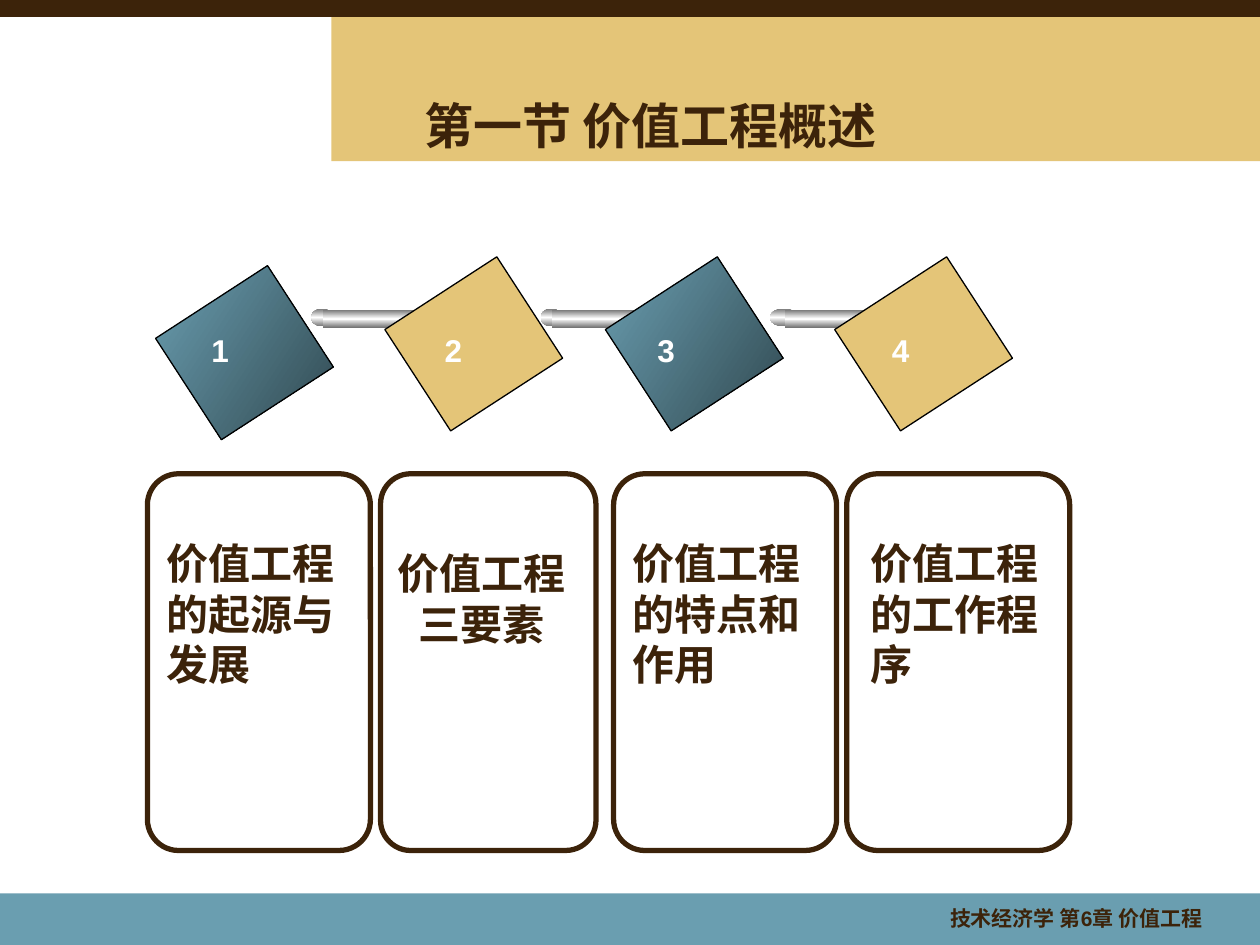
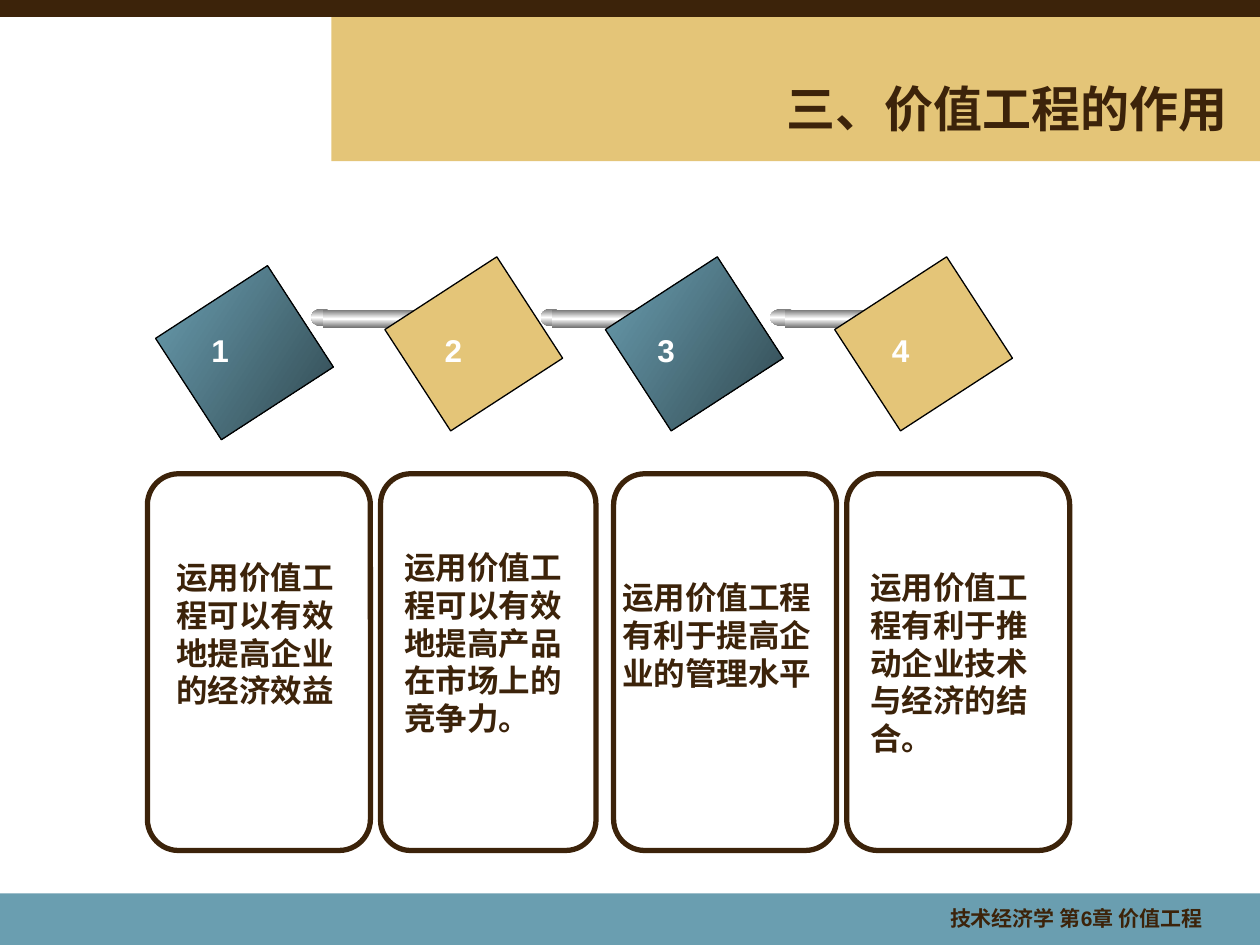
"""Build two value engineering slides, each with four numbered panels."""
import pptx
import pptx.dml.color
import pptx.enum.shapes
import pptx.enum.text
import pptx.oxml
import pptx.oxml.ns
import pptx.util

Inches = pptx.util.Inches
Pt = pptx.util.Pt
SHAPE = pptx.enum.shapes.MSO_SHAPE
ALIGN = pptx.enum.text.PP_ALIGN
ANCHOR = pptx.enum.text.MSO_ANCHOR
AUTO_SIZE = pptx.enum.text.MSO_AUTO_SIZE

FONT = "Arial"
BROWN, GOLD, TEAL, DARK_TEAL = "3C230A", "E4C578", "6A9EB0", "314951"
WHITE, BLACK, GREY = "FFFFFF", "000000", "767676"
FOOTER = "技术经济学 第6章 价值工程"

PANEL_TOP, PANEL_HEIGHT, PANEL_PITCH = 3.76, 2.99, 1.85
PANEL_WIDTHS = (1.77, 1.71, 1.77, 1.77)
DIAMONDS = ((1.46, 2.27), (3.28, 2.2), (5.03, 2.2), (6.85, 2.2))
RODS = ((2.47, 1), (4.29, 1), (6.11, 1.3))
NUMBER_LEFTS = (1.58, 3.43, 5.12, 6.98)


def rgb(color):
    return pptx.dml.color.RGBColor.from_string(color)


class Deck:
    def __init__(self):
        self.prs = pptx.Presentation()
        self.prs.slide_width, self.prs.slide_height = Inches(10), Inches(7.5)
        self.slide = None

    def add_slide(self, title, left, top, align):
        self.slide = self.prs.slides.add_slide(self.prs.slide_layouts[5])
        self.shape(SHAPE.RECTANGLE, 2.63, 0.13, 7.37, 1.15, GOLD)
        self.shape(SHAPE.RECTANGLE, 0, 7.09, 10, 0.41, TEAL)
        self.shape(SHAPE.RECTANGLE, 0, 0, 10, 0.13, BROWN, BROWN)
        self.text(FOOTER, 6.18, 7.14, 3.46, 0.33, 12, align=ALIGN.RIGHT)
        sp = self.slide.shapes.title
        sp.element.getparent().append(sp.element)
        sp.left, sp.top = Inches(left), Inches(top)
        sp.width, sp.height = Inches(6.92), Inches(0.62)
        sp.text_frame.vertical_anchor = ANCHOR.MIDDLE
        self.fill_text(sp.text_frame, title, 28, BROWN, align)

    def fill_text(self, tf, text, size, color, align):
        tf.text = text
        p = tf.paragraphs[0]
        p.alignment = align
        p.font.name, p.font.size, p.font.bold = FONT, Pt(size), True
        p.font.color.rgb = rgb(color)

    def text(self, text, left, top, width, height, size, color=BROWN,
             align=ALIGN.LEFT, wrap=True):
        sp = self.slide.shapes.add_textbox(
            Inches(left), Inches(top), Inches(width), Inches(height))
        tf = sp.text_frame
        tf.word_wrap = wrap
        tf.auto_size = AUTO_SIZE.SHAPE_TO_FIT_TEXT
        self.fill_text(tf, text, size, color, align)

    def shape(self, kind, left, top, width, height, fill=None, line=None, weight=0.75):
        sp = self.slide.shapes.add_shape(
            kind, Inches(left), Inches(top), Inches(width), Inches(height))
        sp.shadow.inherit = False
        if fill:
            sp.fill.solid()
            sp.fill.fore_color.rgb = rgb(fill)
        else:
            sp.fill.background()
        if line:
            sp.line.color.rgb = rgb(line)
            sp.line.width = Pt(weight)
        else:
            sp.line.fill.background()
        return sp

    def gradient(self, sp, colors, angle):
        sp.fill.gradient()
        step = 100000 // (len(colors) - 1)
        stops = "".join(
            f'<a:gs pos="{i * step}"><a:srgbClr val="{color}"/></a:gs>'
            for i, color in enumerate(colors))
        ns = pptx.oxml.ns
        old = sp.element.spPr.find(ns.qn("a:gradFill"))
        new = pptx.oxml.parse_xml(
            f'<a:gradFill {ns.nsdecls("a")} rotWithShape="0"><a:gsLst>{stops}</a:gsLst>'
            f'<a:lin ang="{angle * 60000}" scaled="0"/></a:gradFill>')
        old.getparent().replace(old, new)

    def panel(self, left, width):
        sp = self.shape(SHAPE.ROUNDED_RECTANGLE, left, PANEL_TOP, width, PANEL_HEIGHT,
                        line=BROWN, weight=3)
        sp.adjustments[0] = 0.14

    def diamond(self, left, top, shaded):
        sp = self.shape(SHAPE.RECTANGLE, left, top, 0.96, 1.06, GOLD, BLACK)
        sp.rotation = 57
        if shaded:
            self.gradient(sp, (TEAL, DARK_TEAL), 33)

    def rod(self, left, scale):
        cap = self.shape(SHAPE.OVAL, left, 2.45, 0.17 * scale, 0.14)
        bar = self.shape(SHAPE.RECTANGLE, left + 0.09 * scale, 2.46, 0.82 * scale, 0.14)
        for sp in (cap, bar):
            self.gradient(sp, (GREY, WHITE, GREY), 90)

    def numbered_panels(self, size, captions):
        for i, width in enumerate(PANEL_WIDTHS):
            self.panel(1.17 + i * PANEL_PITCH, width)
        for i, (left, top) in enumerate(DIAMONDS):
            if i:
                self.rod(*RODS[i - 1])
            self.diamond(left, top, shaded=i % 2 == 0)
        for number, left in enumerate(NUMBER_LEFTS, 1):
            self.text(str(number), left, 2.58, 0.34, 0.4, 18, WHITE, wrap=False)
        for text, left, top, width, height, align in captions:
            self.text(text, left, top, width, height, size, align=align)


def main():
    deck = Deck()
    deck.add_slide("第一节 价值工程概述", 3.27, 0.68, ALIGN.LEFT)
    deck.numbered_panels(24, (
        ("价值工程的起源与发展", 1.22, 4.22, 1.57, 1.3, ALIGN.LEFT),
        ("价值工程\v三要素", 2.8, 4.3, 2.05, 0.9, ALIGN.CENTER),
        ("价值工程的特点和作用", 4.92, 4.22, 1.73, 1.3, ALIGN.LEFT),
        ("价值工程的工作程序", 6.81, 4.22, 1.64, 1.3, ALIGN.LEFT),
    ))
    deck.add_slide("三、价值工程的作用", 2.92, 0.55, ALIGN.RIGHT)
    deck.numbered_panels(18, (
        ("运用价值工程可以有效地提高企业的经济效益", 1.3, 4.38, 1.65, 1.3, ALIGN.LEFT),
        ("运用价值工程可以有效地提高产品在市场上的竞争力。", 3.11, 4.3, 1.57, 1.6, ALIGN.LEFT),
        ("运用价值工程有利于提高企业的管理水平", 4.84, 4.54, 1.73, 1, ALIGN.LEFT),
        ("运用价值工程有利于推动企业技术与经济的结合。", 6.81, 4.46, 1.64, 1.6, ALIGN.LEFT),
    ))
    deck.prs.save("out.pptx")


if __name__ == "__main__":
    main()
